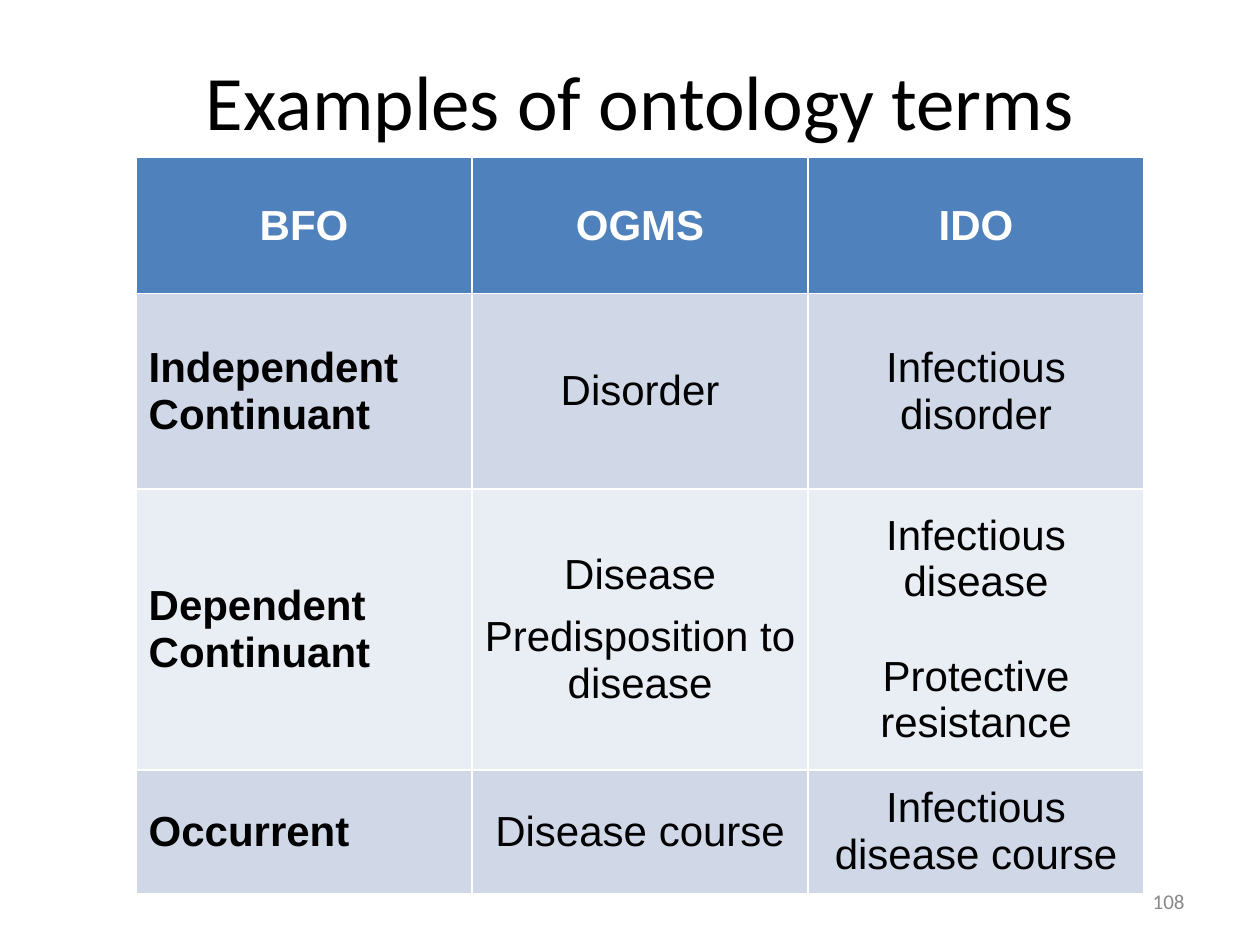
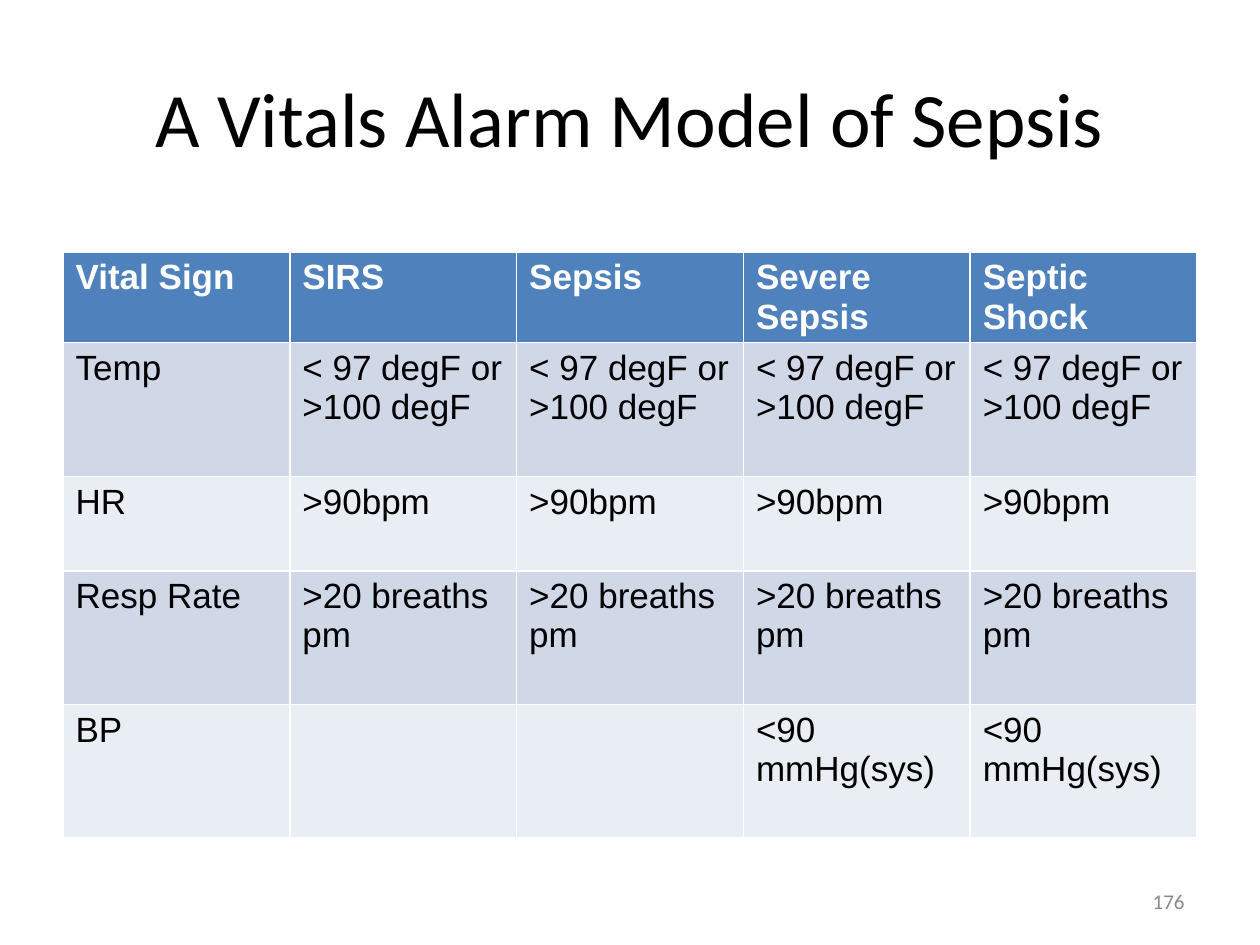
from pptx import Presentation
from pptx.dml.color import RGBColor
from pptx.enum.text import MSO_ANCHOR as ANCHOR, PP_ALIGN as ALIGN
from pptx.util import Inches, Pt

COLORS = {
    "text": "000000",
    "header": "4F81BD",
    "header_text": "FFFFFF",
    "odd_row": "D0D8E8",
    "even_row": "E9EDF4",
    "page_number": "898989",
}


def write(tf, text, size, font="Arial", color="text", bold=False,
          align=ALIGN.LEFT, gap=0):
    """Fill a text frame, one paragraph a line, with gap points between them."""
    tf.word_wrap = True
    for i, line in enumerate(text.split("\n")):
        p = tf.paragraphs[0] if i == 0 else tf.add_paragraph()
        p.alignment = align
        p.space_before = Pt(gap if i else 0)
        r = p.add_run()
        r.text = line
        r.font.name = font
        r.font.size = Pt(size)
        r.font.bold = bold
        r.font.color.rgb = RGBColor.from_string(COLORS[color])


ontology_terms = [
    ["BFO", "OGMS", "IDO"],
    ["Independent Continuant", "Disorder", "Infectious disorder"],
    ["Dependent Continuant", "Disease\nPredisposition to disease",
     "Infectious disease\nProtective resistance"],
    ["Occurrent", "Disease course", "Infectious disease course"],
]
vital_alarms = [
    ["Vital Sign", "SIRS", "Sepsis", "Severe Sepsis", "Septic Shock"],
    ["Temp"] + ["< 97 degF or >100 degF"] * 4,
    ["HR"] + [">90bpm"] * 4,
    ["Resp Rate"] + [">20 breaths pm"] * 4,
    ["BP", "", "", "<90 mmHg(sys)", "<90 mmHg(sys)"],
]

slides = [
    dict(title="Examples of ontology terms", title_at=(0.58, 0.17), number="108",
         rows=ontology_terms, table_at=(1.08, 1.25), width=8,
         heights=[1.08, 1.55, 2.23, 0.98], size=24, centered=True,
         gaps={(2, 1): 9, (2, 2): 27}),
    dict(title="A Vitals Alarm Model of Sepsis", title_at=(0.5, 0.3), number="176",
         rows=vital_alarms, table_at=(0.5, 2), width=9,
         heights=[0.72, 1.06, 0.75, 1.06, 1.06], size=20, centered=False,
         gaps={}),
]

prs = Presentation()
prs.slide_width, prs.slide_height = Inches(10), Inches(7.5)

for item in slides:
    slide = prs.slides.add_slide(prs.slide_layouts[5])

    title = slide.shapes.title
    title.left, title.top = [Inches(v) for v in item["title_at"]]
    title.width, title.height = Inches(9), Inches(1.25)
    title.text_frame.vertical_anchor = ANCHOR.MIDDLE
    write(title.text_frame, item["title"], 44, font="Calibri", align=ALIGN.CENTER)

    rows, heights = item["rows"], item["heights"]
    left, top = item["table_at"]
    table = slide.shapes.add_table(
        len(rows), len(rows[0]), Inches(left), Inches(top),
        Inches(item["width"]), Inches(sum(heights))).table
    for row, height in zip(table.rows, heights):
        row.height = Inches(height)

    for i, row in enumerate(rows):
        header = i == 0
        fill = "header" if header else "odd_row" if i % 2 else "even_row"
        for j, text in enumerate(row):
            cell = table.cell(i, j)
            cell.fill.solid()
            cell.fill.fore_color.rgb = RGBColor.from_string(COLORS[fill])
            row_label = item["centered"] and j == 0
            centered = item["centered"] and (header or j > 0)
            cell.vertical_anchor = ANCHOR.MIDDLE if item["centered"] else ANCHOR.TOP
            write(cell.text_frame, text, item["size"],
                  color="header_text" if header else "text",
                  bold=header or row_label,
                  align=ALIGN.CENTER if centered else ALIGN.LEFT,
                  gap=item["gaps"].get((i, j), 0))

    number = slide.shapes.add_textbox(Inches(7.17), Inches(6.95), Inches(2.33), Inches(0.4))
    number.text_frame.vertical_anchor = ANCHOR.MIDDLE
    write(number.text_frame, item["number"], 12, font="Calibri",
          color="page_number", align=ALIGN.RIGHT)

prs.save("out.pptx")
